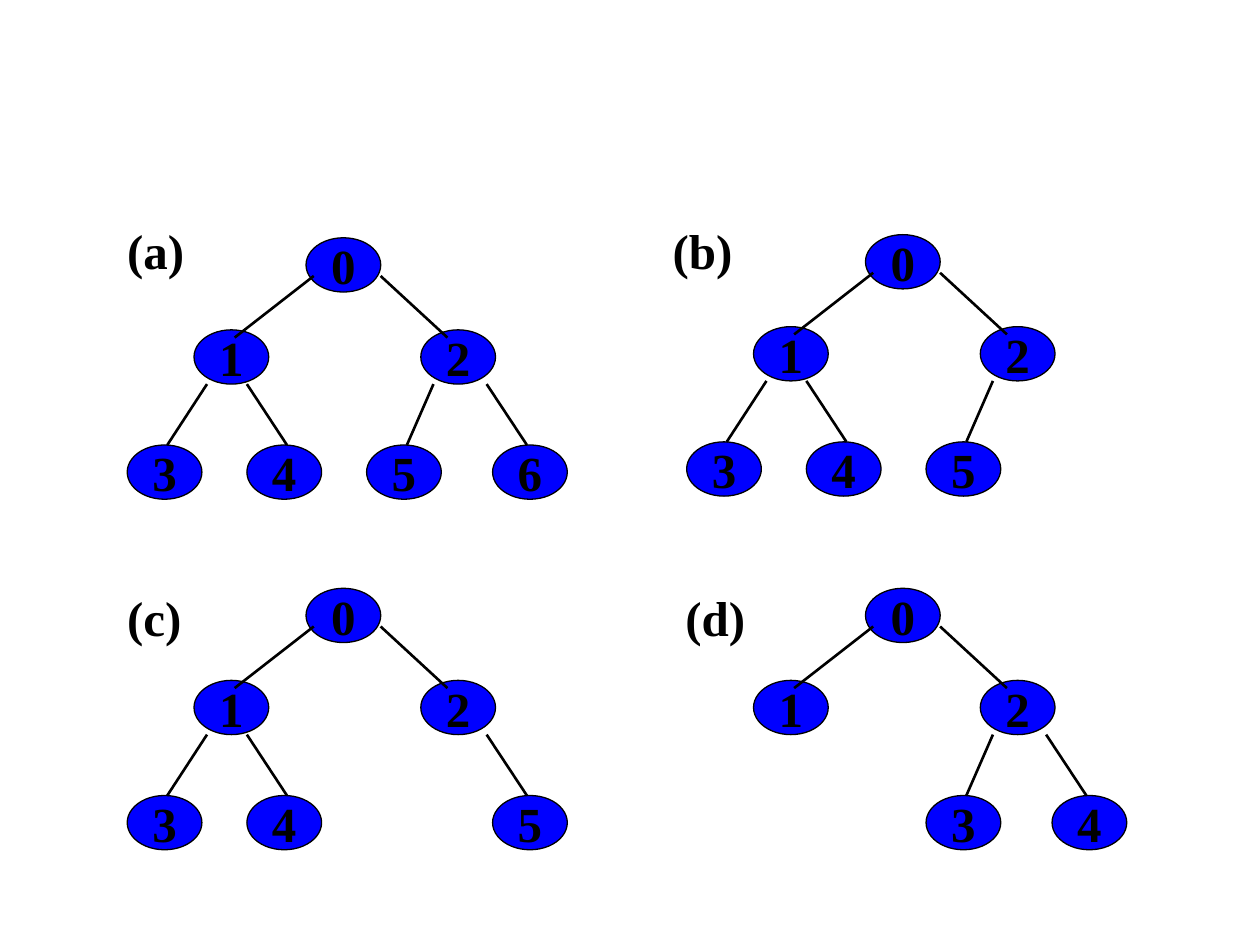
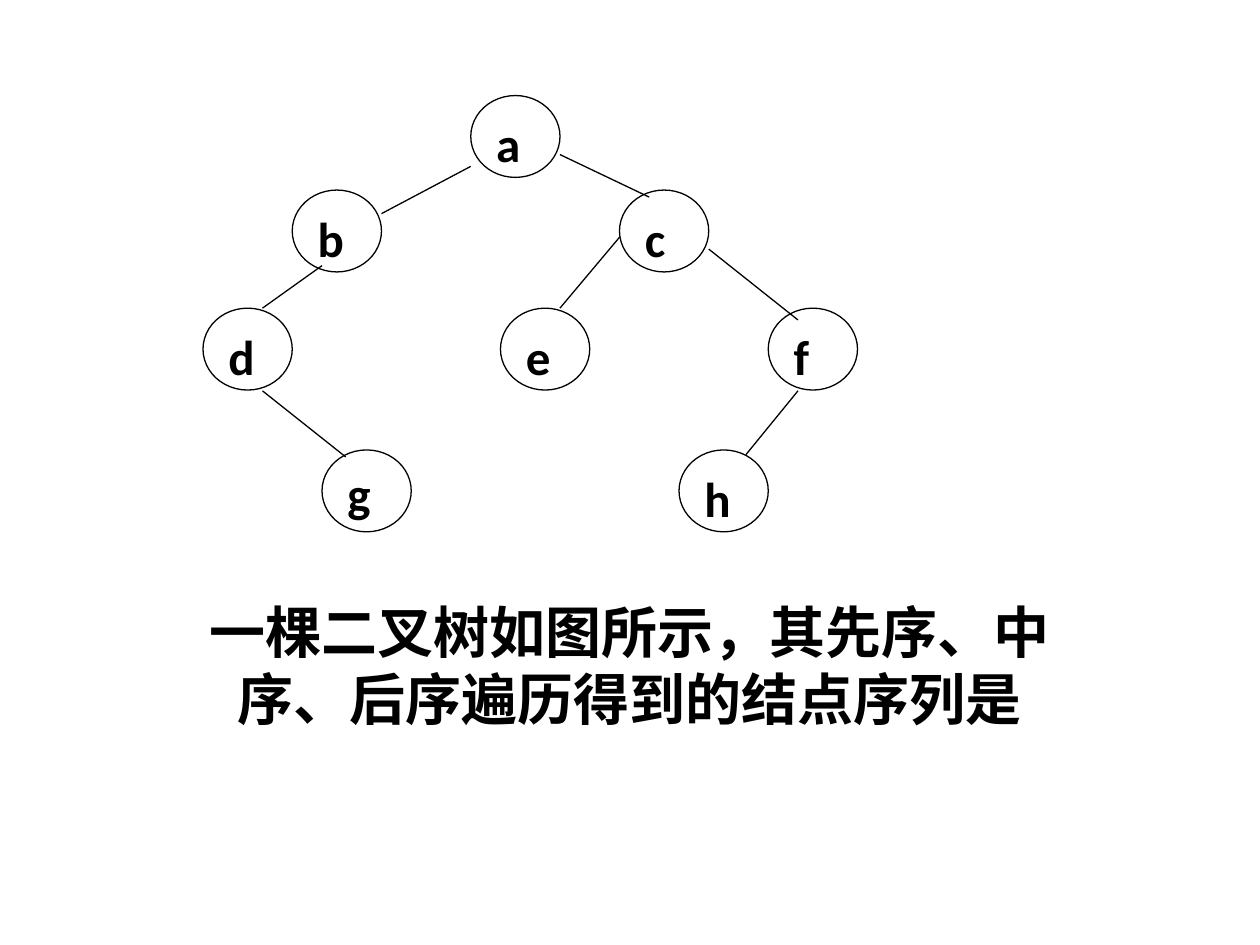
from pptx import Presentation
from pptx.dml.color import RGBColor
from pptx.enum.shapes import MSO_CONNECTOR, MSO_SHAPE
from pptx.enum.text import MSO_ANCHOR, PP_ALIGN
from pptx.oxml.ns import qn
from pptx.util import Pt
from lxml.etree import SubElement

COLORS = {"ink": "000000", "node": "0000FF", "paper": "FFFFFF"}
SERIF, SANS = "Times New Roman", "Calibri"

# Slide 1: seven heap slots, relative to the left edge and top of a tree
HEAP_NODE = (42.7, 31)
HEAP_SLOTS = [(102.2, 0), (38.2, 52.6), (167.8, 52.6),
              (0, 118.4), (68.4, 118.4), (136.8, 118.4), (208.8, 118.4)]
# Edge leading to each slot below the root: x1, y1, x2, y2
HEAP_EDGES = {1: (106.6, 21.8, 61.4, 57), 2: (144.8, 21.8, 183, 57),
              3: (45.6, 83.6, 22.9, 118.4), 4: (68.4, 83.6, 91.3, 118.4),
              5: (175, 83.6, 159.8, 118.4), 6: (205.4, 83.6, 228.4, 118.4)}
# Caption, caption position, tree origin, occupied slots in numbering order
HEAPS = [("(a)", (65.5, 122.4), (72.7, 135.9), (0, 1, 2, 3, 4, 5, 6)),
         ("(b)", (377.3, 122.4), (392.4, 134.1), (0, 1, 2, 3, 4, 5)),
         ("(c)", (65.5, 331.9), (72.7, 336.2), (0, 1, 2, 3, 4, 6)),
         ("(d)", (384.5, 331.9), (392.4, 336.2), (0, 1, 2, 5, 6))]

# Slide 2: letters and edges on a grid of small units
GRID_ORIGIN, GRID_UNIT = (116, 54.6), (17, 13.5)
LETTER_NODE = (51, 46.8)
LETTERS = {"g": (4, 15), "d": (0, 9), "b": (3, 4), "h": (16, 15),
           "e": (10, 9), "f": (19, 9), "c": (14, 4), "a": (9, 0)}
LETTER_EDGES = [(12, 2.5, 15, 4.3), (9, 3, 6, 5), (4, 7.2, 2, 9),
                (2, 12.5, 4.8, 15.3), (14, 6, 12, 9),
                (17, 6.5, 20, 9.5), (20, 12.5, 18.25, 15.2)]
QUESTION = "一棵二叉树如图所示，其先序、中序、后序遍历得到的结点序列是"


def color(name):
    return RGBColor.from_string(COLORS[name])


def write(frame, text, font, size=28, align=PP_ALIGN.LEFT):
    frame.text = text
    para = frame.paragraphs[0]
    para.alignment = align
    span = para.runs[0]
    span.font.name = font
    span.font.size = Pt(size)
    span.font.bold = True
    span.font.color.rgb = color("ink")
    return para


def add_node(tree, text, position, size, fill, font, align):
    node = tree.shapes.add_shape(MSO_SHAPE.OVAL, *map(Pt, position + size))
    node.shadow.inherit = False
    node.fill.solid()
    node.fill.fore_color.rgb = color(fill)
    node.line.color.rgb = color("ink")
    node.line.width = Pt(0.75)
    write(node.text_frame, text, font, align=align)
    return node


def add_edge(tree, ends, width):
    edge = tree.shapes.add_connector(MSO_CONNECTOR.STRAIGHT, *map(Pt, ends))
    edge.line.color.rgb = color("ink")
    edge.line.width = Pt(width)
    SubElement(edge._element.spPr, qn("a:effectLst"))


def place(point, origin, unit=(1, 1)):
    """Turn relative x, y, x, y... values into slide points."""
    return tuple(origin[i % 2] + value * unit[i % 2]
                 for i, value in enumerate(point))


def add_heap(page, caption, caption_at, origin, slots):
    tree = page.shapes.add_group_shape()
    for number, slot in enumerate(slots):
        node = add_node(tree, str(number), place(HEAP_SLOTS[slot], origin),
                        HEAP_NODE, "node", SERIF, PP_ALIGN.CENTER)
        node.text_frame.word_wrap = False
        node.text_frame.vertical_anchor = MSO_ANCHOR.MIDDLE
    box = tree.shapes.add_textbox(*map(Pt, caption_at + (61.2, 36.7)))
    box.text_frame.word_wrap = False
    write(box.text_frame, caption, SERIF)
    for slot in slots[1:]:
        add_edge(tree, place(HEAP_EDGES[slot], origin), 1.5)


def add_letter_tree(page):
    tree = page.shapes.add_group_shape()
    for letter, cell in LETTERS.items():
        node = add_node(tree, letter, place(cell, GRID_ORIGIN, GRID_UNIT),
                        LETTER_NODE, "paper", SANS, PP_ALIGN.JUSTIFY)
        node.text_frame.word_wrap = True
        node.text_frame.vertical_anchor = MSO_ANCHOR.TOP
        if letter == "g":
            node.fill.background()
            node.text_frame.margin_top = Pt(0.7)
    for ends in LETTER_EDGES:
        add_edge(tree, place(ends, GRID_ORIGIN, GRID_UNIT), 0.75)


def add_question(page):
    box = page.placeholders[1]
    box.left, box.top, box.width, box.height = map(Pt, (108, 337.7, 504, 105.8))
    para = write(box.text_frame, QUESTION, SANS, 32, PP_ALIGN.CENTER)
    para.space_before = Pt(6.4)


def main():
    deck = Presentation()
    deck.slide_width, deck.slide_height = Pt(720), Pt(540)

    # Four small heaps
    page = deck.slides.add_slide(deck.slide_layouts[6])
    for heap in HEAPS:
        add_heap(page, *heap)

    # Traversal question, with a subtitle and no title
    page = deck.slides.add_slide(deck.slide_layouts[0])
    title = page.shapes.title._element
    title.getparent().remove(title)
    add_question(page)
    add_letter_tree(page)

    deck.save("out.pptx")


if __name__ == "__main__":
    main()
